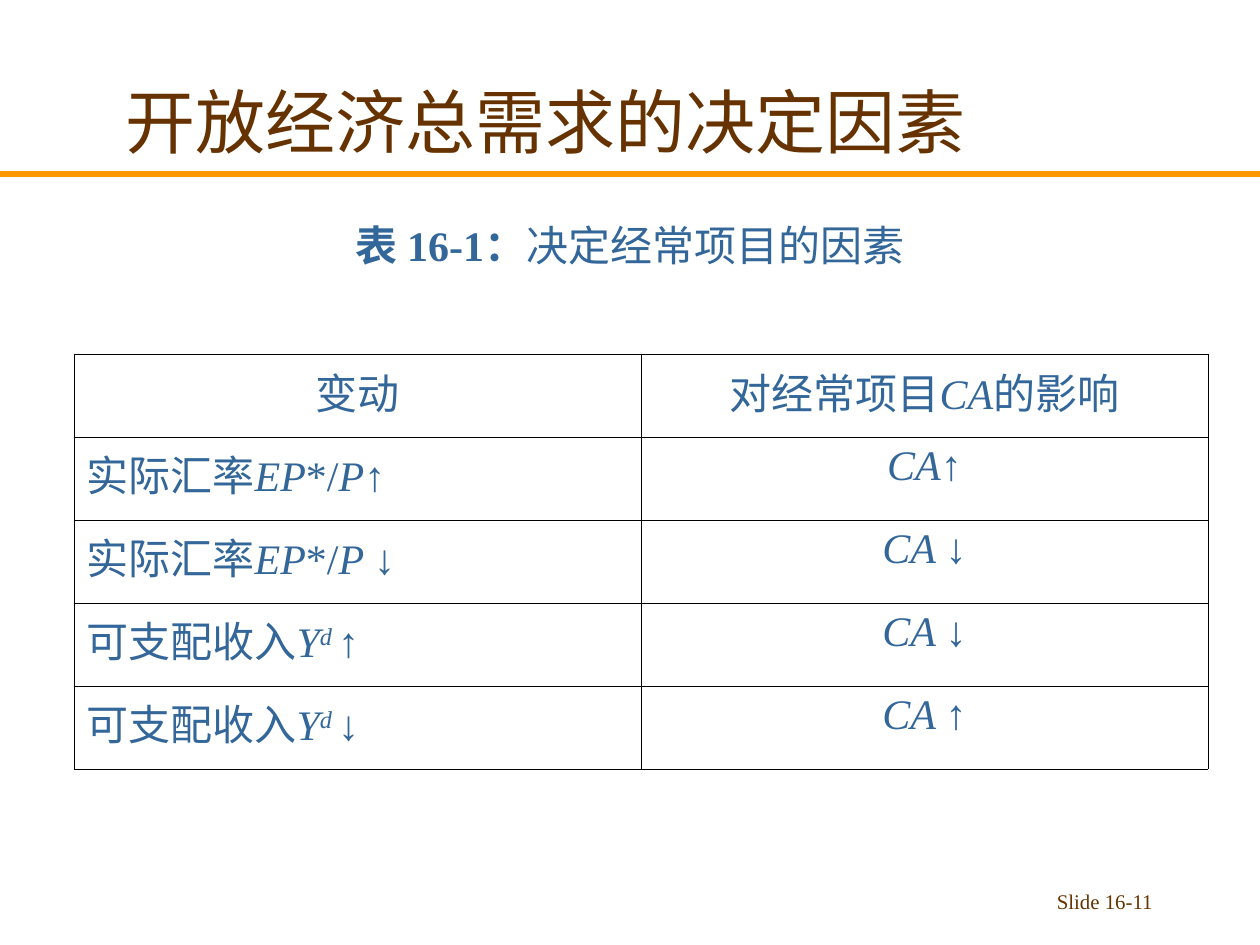
from lxml.etree import SubElement
from pptx import Presentation
from pptx.dml.color import RGBColor
from pptx.enum.shapes import MSO_CONNECTOR
from pptx.enum.text import MSO_ANCHOR, PP_ALIGN
from pptx.oxml.ns import qn
from pptx.util import Pt

# Content: each run is (text, style), styles: b bold, i italic, s superscript
TITLE = [("开放经济总需求的决定因素", "")]
CAPTION = [("表 16-1：", "b"), ("决定经常项目的因素", "")]
SLIDE_NUMBER = [("Slide 16-11", "")]
EXCHANGE_RATE = [("实际汇率", ""), ("EP", "i"), ("*/", "")]
INCOME = [("可支配收入", ""), ("Y", "i"), ("d ", "is")]
ROWS = [
    ([("变动", "")], [("对经常项目", ""), ("CA", "i"), ("的影响", "")]),
    (EXCHANGE_RATE + [("P", "i"), ("↑", "")], [("CA↑", "i")]),
    (EXCHANGE_RATE + [("P ", "i"), ("↓", "")], [("CA ↓", "i")]),
    (INCOME + [("↑", "")], [("CA ↓", "i")]),
    (INCOME + [("↓", "")], [("CA ↑", "i")]),
]

COLORS = {"brown": "663300", "blue": "336699", "orange": "FF9900", "border": "000000"}
FONT = "Times New Roman"
SLIDE_WIDTH, SLIDE_HEIGHT = 1260, 945
TABLE_LEFT, TABLE_TOP, COLUMN_WIDTH, ROW_HEIGHT = 74, 354, 567, 83
BORDER_WIDTH = Pt(0.45)


def px(value):
    return round(value * 914400 / 126)


def box(*lengths):
    return [px(length) for length in lengths]


def write(text_frame, runs, size, color, alignment):
    text_frame.word_wrap = True
    paragraph = text_frame.paragraphs[0]
    paragraph.alignment = alignment
    for text, style in runs:
        run = paragraph.add_run()
        run.text = text
        font = run.font
        font.name, font.size = FONT, Pt(size)
        font.color.rgb = RGBColor.from_string(COLORS[color])
        font.bold, font.italic = "b" in style, "i" in style
        if "s" in style:
            run._r.get_or_add_rPr().set("baseline", "30000")


def add_borders(cell):
    properties = cell._tc.get_or_add_tcPr()
    for side in ("a:lnL", "a:lnR", "a:lnT", "a:lnB"):
        line = SubElement(properties, qn(side), w=str(BORDER_WIDTH))
        fill = SubElement(line, qn("a:solidFill"))
        SubElement(fill, qn("a:srgbClr"), val=COLORS["border"])


presentation = Presentation()
presentation.slide_width, presentation.slide_height = box(SLIDE_WIDTH, SLIDE_HEIGHT)
slide = presentation.slides.add_slide(presentation.slide_layouts[5])

# Rule under the title
rule = slide.shapes.add_connector(MSO_CONNECTOR.STRAIGHT, *box(0, 174, SLIDE_WIDTH, 174))
rule.line.color.rgb = RGBColor.from_string(COLORS["orange"])
rule.line.width = Pt(3)
SubElement(rule._element.spPr, qn("a:effectLst"))

# Title
title = slide.shapes.title
title.left, title.top, title.width, title.height = box(10, 42, 1071, 157)
title.text_frame.vertical_anchor = MSO_ANCHOR.MIDDLE
write(title.text_frame, TITLE, 40, "brown", PP_ALIGN.CENTER)

# Table caption
caption = slide.shapes.add_textbox(*box(0, 179, SLIDE_WIDTH, 97))
caption.text_frame.vertical_anchor = MSO_ANCHOR.BOTTOM
write(caption.text_frame, CAPTION, 24, "blue", PP_ALIGN.CENTER)

# Slide number
number = slide.shapes.add_textbox(*box(903, 883, 262, 40))
write(number.text_frame, SLIDE_NUMBER, 11.9, "brown", PP_ALIGN.RIGHT)

# Table of factors
row_count, column_count = len(ROWS), len(ROWS[0])
table = slide.shapes.add_table(
    row_count, column_count,
    *box(TABLE_LEFT, TABLE_TOP, column_count * COLUMN_WIDTH, row_count * ROW_HEIGHT)).table
table.first_row = table.horz_banding = False
for row_index, row in enumerate(ROWS):
    for column_index, runs in enumerate(row):
        cell = table.cell(row_index, column_index)
        add_borders(cell)
        cell.fill.background()
        is_factor = row_index > 0 and column_index == 0
        alignment = PP_ALIGN.LEFT if is_factor else PP_ALIGN.CENTER
        write(cell.text_frame, runs, 24, "blue", alignment)

presentation.save("out.pptx")
